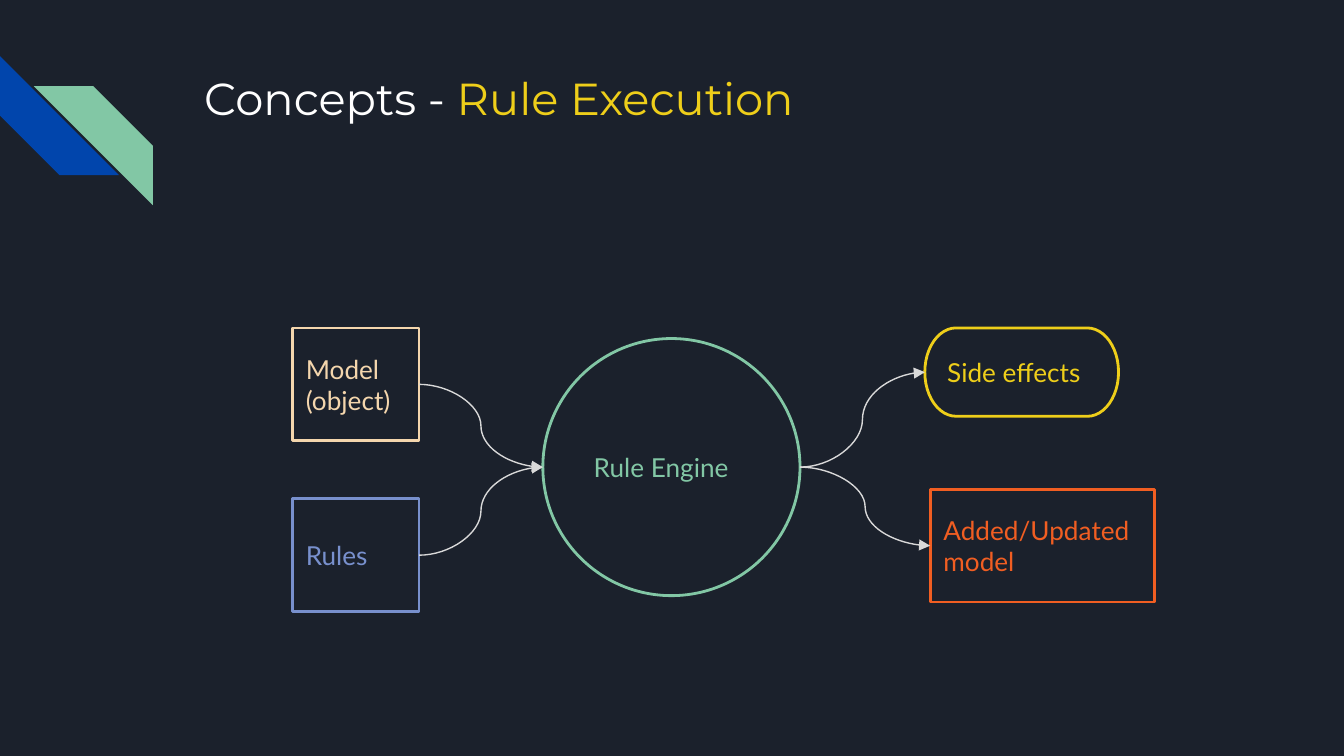
from lxml import etree
from pptx import Presentation
from pptx.dml import color
from pptx.enum import shapes, text
from pptx.oxml import ns
from pptx.util import Cm, Pt

THEME = {
    "background": "1B212C", "white": "FFFFFF", "yellow": "EECE1A",
    "green": "82C7A5", "blue": "0145AC", "sand": "F4D6AD",
    "periwinkle": "7890CD", "orange": "F15E22", "arrow": "D9D9D9",
    "title_font": "Montserrat", "body_font": "Lato",
    "title_size": 24, "body_size": 14,
    "outline": 1.5, "arrow_width": 0.75, "inset": 0.25,
}
PRESET = shapes.MSO_SHAPE

SLIDE_SIZE = (25.4, 14.29)
TITLE_BOX = (3.61, 1.09, 19.56, 2.54)
TITLE = [("Concepts - ", "white"), ("Rule Execution", "yellow")]
STRIPES = [
    ((0, 1.06, 2.25, 2.25), 270, "blue"),
    ((0.64, 1.63, 2.25, 2.25), 90, "green"),
]
NODES = {
    "engine": ("Rule Engine", PRESET.OVAL, (10.26, 6.4, 4.86, 4.86), "green"),
    "model": ("Model (object)", PRESET.RECTANGLE, (5.53, 6.2, 2.39, 2.13), "sand"),
    "rules": ("Rules", PRESET.RECTANGLE, (5.53, 9.43, 2.39, 2.13), "periwinkle"),
    "updated": ("Added/Updated model", PRESET.RECTANGLE, (17.58, 9.25, 4.24, 2.13), "orange"),
    "effects": ("Side effects", PRESET.FLOWCHART_TERMINATOR, (17.48, 6.2, 3.66, 1.67), "yellow"),
}
FLOWS = [("model", "engine"), ("rules", "engine"), ("engine", "updated"), ("engine", "effects")]


def rgb(name):
    return color.RGBColor.from_string(THEME[name])


def lengths(values):
    return [Cm(value) for value in values]


def write(shape, runs, role, anchor):
    frame = shape.text_frame
    frame.word_wrap = True
    frame.vertical_anchor = anchor
    frame.margin_left = frame.margin_right = Cm(THEME["inset"])
    frame.margin_top = frame.margin_bottom = Cm(THEME["inset"])
    paragraph = frame.paragraphs[0]
    paragraph.alignment = text.PP_ALIGN.LEFT
    for content, tint in runs:
        run = paragraph.add_run()
        run.text = content
        run.font.name = THEME[role + "_font"]
        run.font.size = Pt(THEME[role + "_size"])
        run.font.color.rgb = rgb(tint)


def add_stripe(slide, box, rotation, tint):
    shape = slide.shapes.add_shape(PRESET.DIAGONAL_STRIPE, *lengths(box))
    shape.shadow.inherit = False
    shape.rotation = rotation
    shape.fill.solid()
    shape.fill.fore_color.rgb = rgb(tint)
    shape.line.fill.background()


def add_node(slide, label, preset, box, tint):
    shape = slide.shapes.add_shape(preset, *lengths(box))
    shape.shadow.inherit = False
    shape.fill.background()
    shape.line.color.rgb = rgb(tint)
    shape.line.width = Pt(THEME["outline"])
    write(shape, [(label, tint)], "body", text.MSO_ANCHOR.MIDDLE)
    return shape


def add_flow(slide, source, target):
    connector = slide.shapes.add_connector(
        shapes.MSO_CONNECTOR.CURVE,
        source.left + source.width, source.top + source.height // 2,
        target.left, target.top + target.height // 2,
    )
    connector.line.color.rgb = rgb("arrow")
    connector.line.width = Pt(THEME["arrow_width"])
    etree.SubElement(connector.line._get_or_add_ln(), ns.qn("a:tailEnd"), type="triangle")
    etree.SubElement(connector._element.spPr, ns.qn("a:effectLst"))


def main():
    presentation = Presentation()
    presentation.slide_width, presentation.slide_height = lengths(SLIDE_SIZE)
    slide = presentation.slides.add_slide(presentation.slide_layouts[6])
    slide.background.fill.solid()
    slide.background.fill.fore_color.rgb = rgb("background")

    for stripe in STRIPES:
        add_stripe(slide, *stripe)
    title = slide.shapes.add_textbox(*lengths(TITLE_BOX))
    write(title, TITLE, "title", text.MSO_ANCHOR.TOP)
    nodes = {name: add_node(slide, *node) for name, node in NODES.items()}
    for source, target in FLOWS:
        add_flow(slide, nodes[source], nodes[target])

    presentation.save("out.pptx")


if __name__ == "__main__":
    main()
